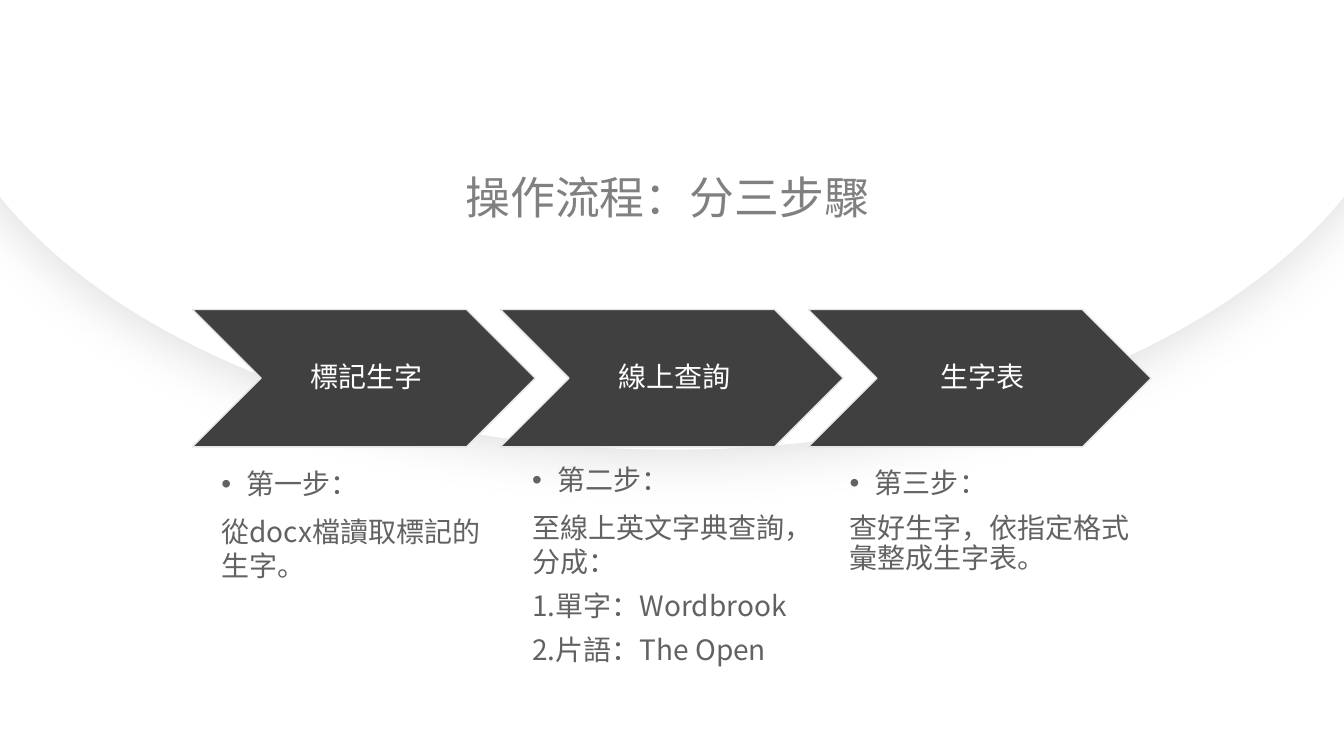
from lxml import etree
from pptx import Presentation
from pptx import util as u
from pptx.dml.color import RGBColor
from pptx.enum import shapes, text
from pptx.oxml import parse_xml
from pptx.oxml.ns import nsdecls, qn

FONT = "Noto Sans CJK SC"
WHITE = RGBColor(0xFF, 0xFF, 0xFF)
TITLE_GRAY = RGBColor(0x80, 0x80, 0x80)
BODY_GRAY = RGBColor(0x62, 0x62, 0x62)
CHEVRON_GRAY = RGBColor(0x40, 0x40, 0x40)
CHEVRON_EDGE = RGBColor(0xE7, 0xE6, 0xE6)

CHEVRON_LEFT, CHEVRON_TOP, CHEVRON_PITCH = 4.85, 7.8, 7.76
CHEVRON_SIZE = (8.64, 3.46)

STEPS = [
    ("標記生字", (5.33, 11.73, 7.37, 6.07),
     [("第一步：", 0.9), ("從docx檔讀取標記的生字。", 1.0)]),
    ("線上查詢", (13.16, 11.63, 7.65, 5.38),
     [("第二步：", 0.9), ("至線上英文字典查詢，分成：", 1.0),
      ("1.單字：Wordbrook", 0.9), ("2.片語：The Open", 0.9)]),
    ("生字表", (21.16, 11.71, 7.65, 6.07),
     [("第三步：", 0.9), ("查好生字，依指定格式彙整成生字表。", 0.9)]),
]


def apply_format(target, values):
    """Set every attribute named in values on the target."""
    for name, value in values.items():
        setattr(target, name, value)


def box(left, top, width, height):
    """Turn centimetre numbers into a list of lengths."""
    return [u.Cm(number) for number in (left, top, width, height)]


def write(paragraph, content, size, color, **paragraph_format):
    """Write one formatted run into a paragraph."""
    apply_format(paragraph, paragraph_format)
    run = paragraph.add_run()
    run.text = content
    apply_format(run.font, {"size": u.Pt(size), "name": FONT})
    run.font.color.rgb = color
    east_asian = etree.SubElement(run._r.get_or_add_rPr(), qn("a:ea"))
    east_asian.set("typeface", FONT)


def add_bullet(paragraph):
    """Give a paragraph a round bullet and a hanging indent."""
    properties = paragraph._p.get_or_add_pPr()
    properties.set("marL", str(u.Cm(0.64)))
    properties.set("indent", str(u.Cm(-0.64)))
    properties.append(parse_xml(f'<a:buFont {nsdecls("a")} typeface="Arial"/>'))
    properties.append(parse_xml(f'<a:buChar {nsdecls("a")} char="•"/>'))


def add_dome(slide):
    """Place the large white ellipse with its soft shadow at the back."""
    dome = slide.shapes.add_shape(
        shapes.MSO_SHAPE.OVAL, *box(-1.9, -11.33, 37.67, 22.66))
    dome.fill.solid()
    dome.fill.fore_color.rgb = WHITE
    dome.line.fill.background()
    dome._element.spPr.append(parse_xml(
        f'<a:effectLst {nsdecls("a")}>'
        f'<a:outerShdw blurRad="{u.Pt(42)}" dist="{u.Pt(3)}" dir="5400000"'
        ' algn="ctr" rotWithShape="0"><a:srgbClr val="000000">'
        '<a:alpha val="15000"/></a:srgbClr></a:outerShdw></a:effectLst>'))
    slide.shapes._spTree.insert(2, dome._element)


def set_title(slide, content):
    """Move the title placeholder and write the heading."""
    title = slide.shapes.title
    left, top, width, height = box(9.02, 4.14, 15.85, 1.63)
    apply_format(title, {"left": left, "top": top, "width": width, "height": height})
    apply_format(title.text_frame, {
        "vertical_anchor": text.MSO_ANCHOR.TOP,
        "auto_size": text.MSO_AUTO_SIZE.NONE, "word_wrap": True})
    write(title.text_frame.paragraphs[0], content, 32, TITLE_GRAY,
          alignment=text.PP_ALIGN.CENTER)


def add_chevron(slide, index, label):
    """Add one labelled chevron of the process row."""
    chevron = slide.shapes.add_shape(shapes.MSO_SHAPE.CHEVRON, *box(
        CHEVRON_LEFT + index * CHEVRON_PITCH, CHEVRON_TOP, *CHEVRON_SIZE))
    chevron.shadow.inherit = False
    chevron.fill.solid()
    chevron.fill.fore_color.rgb = CHEVRON_GRAY
    chevron.line.color.rgb = CHEVRON_EDGE
    chevron.line.width = u.Pt(1)
    apply_format(chevron.text_frame, {
        "margin_left": u.Cm(0.23), "margin_right": u.Cm(0.08),
        "margin_top": u.Cm(0.08), "margin_bottom": u.Cm(0.08),
        "vertical_anchor": text.MSO_ANCHOR.MIDDLE, "word_wrap": True})
    write(chevron.text_frame.paragraphs[0], label, 20, WHITE,
          alignment=text.PP_ALIGN.CENTER, line_spacing=0.9)


def add_description(slide, place, lines):
    """Add the text under a chevron, its first line bulleted."""
    frame = slide.shapes.add_textbox(*box(*place)).text_frame
    frame.word_wrap = True
    for index, (content, spacing) in enumerate(lines):
        paragraph = frame.add_paragraph() if index else frame.paragraphs[0]
        write(paragraph, content, 20, BODY_GRAY,
              line_spacing=spacing, space_before=u.Pt(10))
    add_bullet(frame.paragraphs[0])


def main():
    """Build the three-step process slide."""
    presentation = Presentation()
    apply_format(presentation, {
        "slide_width": u.Cm(33.87), "slide_height": u.Cm(19.05)})
    slide = presentation.slides.add_slide(presentation.slide_layouts[5])
    add_dome(slide)
    set_title(slide, "操作流程：分三步驟 ")
    for index, (label, place, lines) in enumerate(STEPS):
        add_chevron(slide, index, label)
        add_description(slide, place, lines)
    presentation.save("out.pptx")


if __name__ == "__main__":
    main()
